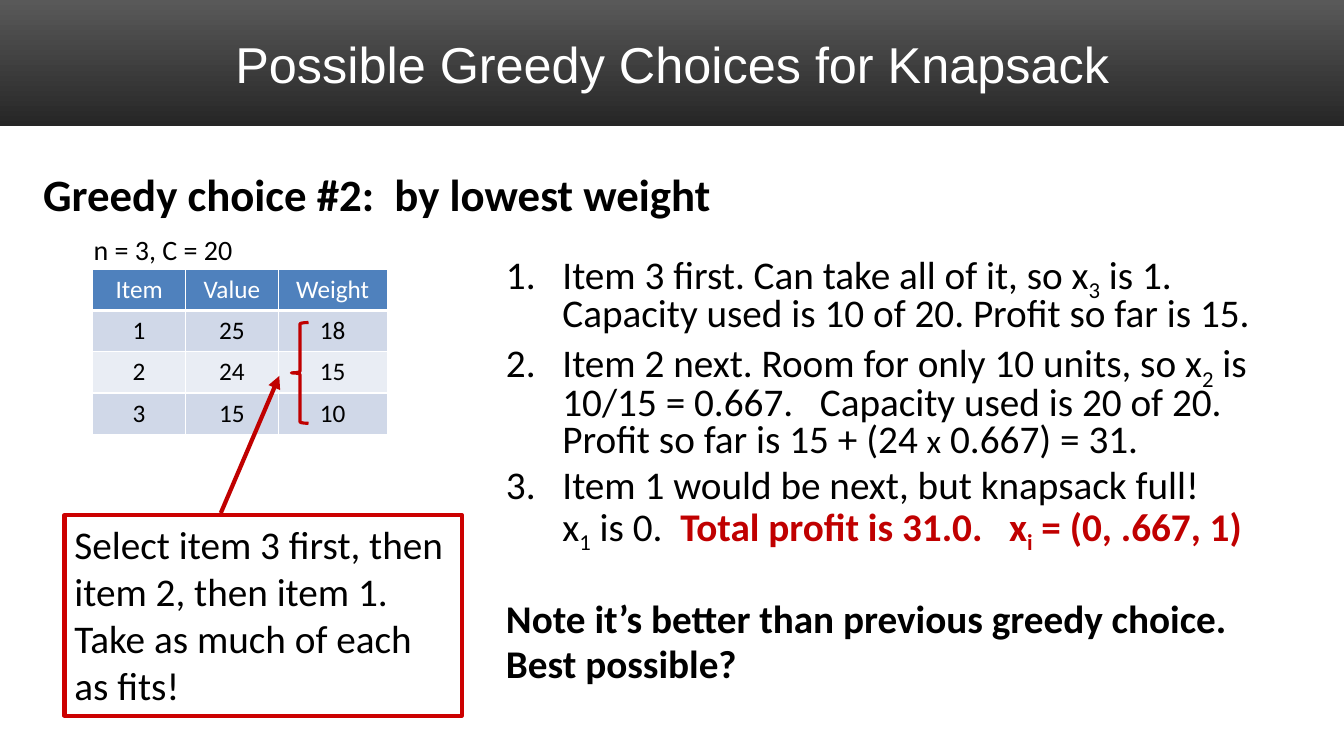
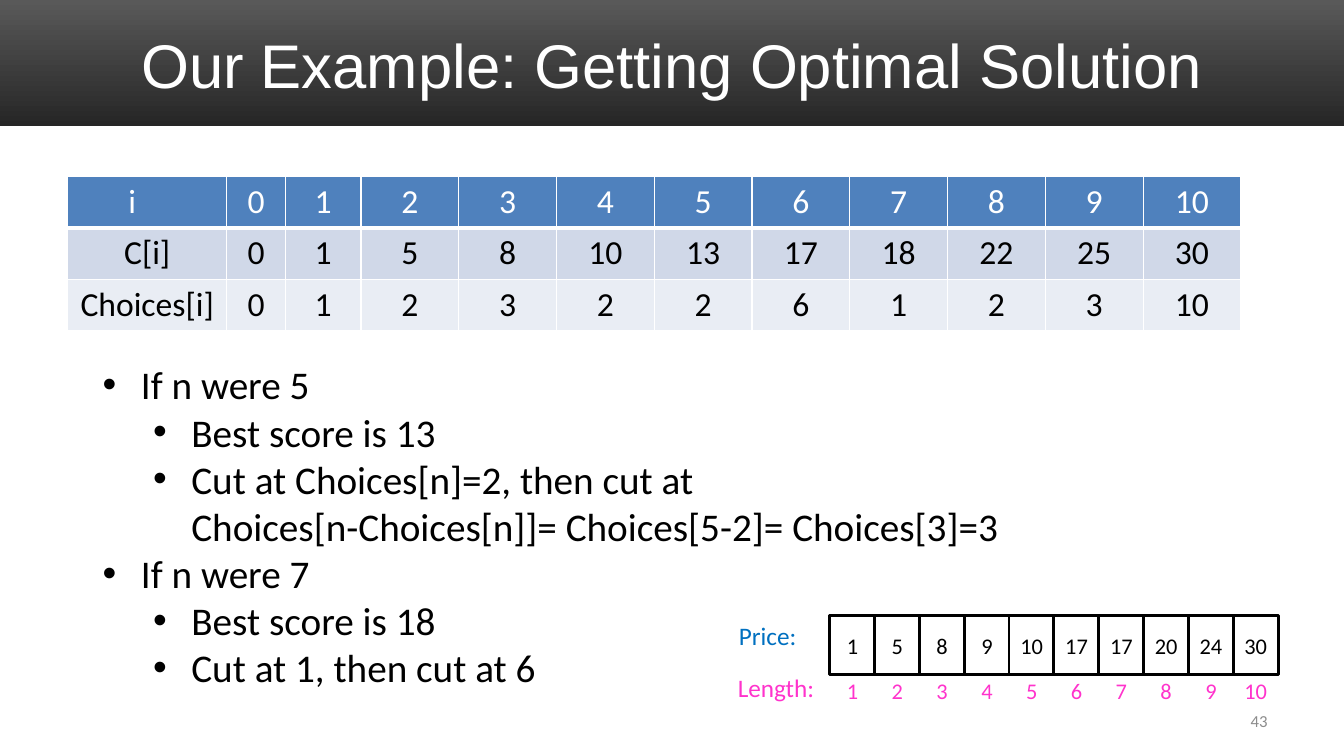
from lxml.etree import SubElement
from pptx import Presentation
from pptx.dml.color import RGBColor
from pptx.enum.shapes import MSO_CONNECTOR, MSO_SHAPE
from pptx.enum.text import MSO_ANCHOR, PP_ALIGN
from pptx.oxml.ns import qn
from pptx.util import Inches, Pt

BLACK = RGBColor(0x00, 0x00, 0x00)
WHITE = RGBColor(0xFF, 0xFF, 0xFF)
BAND_TOP = RGBColor(0x59, 0x59, 0x59)
BAND_BOTTOM = RGBColor(0x26, 0x26, 0x26)
HEADER_BLUE = RGBColor(0x4F, 0x81, 0xBD)
ODD_ROW = RGBColor(0xD0, 0xD8, 0xE8)
EVEN_ROW = RGBColor(0xE9, 0xED, 0xF4)
CALLOUT_RED = RGBColor(0xCC, 0x00, 0x00)
DARK_RED = RGBColor(0xC0, 0x00, 0x00)
PRICE_BLUE = RGBColor(0x00, 0x70, 0xC0)
LENGTH_PINK = RGBColor(0xFF, 0x33, 0xCC)
PAGE_GREY = RGBColor(0x8C, 0x8C, 0x8C)
BODY_FONT = "Calibri"
TITLE_FONT = "Arial"
SLIDE_WIDTH = 13.33
SUBSCRIPT = "-25000"


def style_font(font, size, color=BLACK, bold=False, name=BODY_FONT):
    """Apply face, size, colour and weight to a font."""
    font.name, font.size, font.bold = name, Pt(size), bold
    font.color.rgb = color


def fill_frame(frame, text, size, color=BLACK, bold=False, name=BODY_FONT,
               align=PP_ALIGN.LEFT, anchor=MSO_ANCHOR.TOP):
    """Write text into a frame in a single style."""
    frame.text = text
    frame.word_wrap = True
    frame.vertical_anchor = anchor
    for paragraph in frame.paragraphs:
        paragraph.alignment = align
        for run in paragraph.runs:
            style_font(run.font, size, color, bold, name)


def add_text(shapes, box, text, size, **style):
    """Add a text box and return its frame."""
    frame = shapes.add_textbox(*map(Inches, box)).text_frame
    fill_frame(frame, text, size, **style)
    return frame


def add_outline(shapes, preset, box, line_color, line_width, fill=None):
    """Add a preset shape with a coloured outline."""
    outline = shapes.add_shape(preset, *map(Inches, box))
    outline.shadow.inherit = False
    outline.line.color.rgb = line_color
    outline.line.width = Pt(line_width)
    if fill is None:
        outline.fill.background()
    else:
        outline.fill.solid()
        outline.fill.fore_color.rgb = fill
    return outline


def add_arrow(shapes, tip, origin, color, width):
    """Add a line with an arrowhead at its tip."""
    arrow = shapes.add_connector(MSO_CONNECTOR.STRAIGHT, *map(Inches, tip + origin))
    arrow.line.color.rgb = color
    arrow.line.width = Pt(width)
    SubElement(arrow.line._get_or_add_ln(), qn("a:headEnd"), type="triangle")
    SubElement(arrow._element.spPr, qn("a:effectLst"))


def add_titled_slide(deck, title, size):
    """Add a blank slide with the gradient band and its title."""
    slide = deck.slides.add_slide(deck.slide_layouts[6])
    band = slide.shapes.add_shape(MSO_SHAPE.RECTANGLE, 0, 0,
                                  Inches(SLIDE_WIDTH), Inches(1.25))
    band.shadow.inherit = False
    band.line.fill.background()
    band.fill.gradient()
    band.fill.gradient_angle = 270
    for stop, color in zip(band.fill.gradient_stops, (BAND_TOP, BAND_BOTTOM)):
        stop.color.rgb = color
    add_text(slide.shapes, (0.67, 0.17, 12, 0.92), title, size, color=WHITE,
             name=TITLE_FONT, align=PP_ALIGN.CENTER, anchor=MSO_ANCHOR.MIDDLE)
    return slide.shapes


def add_cell_borders(cell, bottom):
    """Draw white borders around a cell."""
    properties = cell._tc.get_or_add_tcPr()
    for side, width in (("L", 1), ("R", 1), ("T", 1), ("B", bottom)):
        border = SubElement(properties, qn(f"a:ln{side}"), w=str(Pt(width)))
        SubElement(SubElement(border, qn("a:solidFill")), qn("a:srgbClr"),
                   val=str(WHITE))


def add_banded_table(shapes, left, top, widths, row_height, rows, size):
    """Add a centred table with a blue header and banded rows."""
    table = shapes.add_table(len(rows), len(widths), Inches(left), Inches(top),
                             Inches(sum(widths)),
                             Inches(row_height * len(rows))).table
    for column, width in zip(table.columns, widths):
        column.width = Inches(width)
    for index, values in enumerate(rows):
        table.rows[index].height = Inches(row_height)
        header = index == 0
        band = HEADER_BLUE if header else (EVEN_ROW, ODD_ROW)[index % 2]
        for cell, value in zip(table.rows[index].cells, values):
            fill_frame(cell.text_frame, value, size, align=PP_ALIGN.CENTER,
                       color=WHITE if header else BLACK)
            add_cell_borders(cell, 3 if header else 1)
            cell.fill.solid()
            cell.fill.fore_color.rgb = band
    return table


def set_marker(paragraph, margin, hanging, tag, **attributes):
    """Give a paragraph a hanging bullet or number."""
    properties = paragraph._p.get_or_add_pPr()
    properties.set("marL", str(Inches(margin)))
    properties.set("indent", str(Inches(-hanging)))
    SubElement(properties, qn("a:buFont"), typeface=TITLE_FONT)
    SubElement(properties, qn(tag), **attributes)


def add_run(paragraph, text, size=28, color=BLACK, bold=False, subscript=False):
    """Append a styled run, with line breaks at newlines."""
    for index, line in enumerate(text.split("\n")):
        if index:
            paragraph.add_line_break()
        run = paragraph.add_run()
        run.text = line
        style_font(run.font, size, color, bold)
        if subscript:
            run.font._element.set("baseline", SUBSCRIPT)


def add_steps(shapes, box, steps, notes):
    """Add numbered steps followed by bold notes."""
    frame = shapes.add_textbox(*map(Inches, box)).text_frame
    frame.word_wrap = True
    for index, runs in enumerate(steps + notes):
        paragraph = frame.add_paragraph() if index else frame.paragraphs[0]
        paragraph.line_spacing = 0.8
        paragraph.space_before = Pt(38 if index == len(steps) else 5.6)
        if index < len(steps):
            set_marker(paragraph, 0.56, 0.56, "a:buAutoNum", type="arabicPeriod")
        for text, style in runs:
            add_run(paragraph, text, **style)


def add_bullets(shapes, box, items):
    """Add a two-level bulleted list."""
    frame = add_text(shapes, box, "\n".join(text for _, text in items), 28)
    for paragraph, (level, _) in zip(frame.paragraphs, items):
        paragraph.level = level
        set_marker(paragraph, 0.38 + 0.5 * level, 0.38, "a:buChar", char="•")


def add_price_strip(shapes, prices):
    """Add the row of price boxes with their lengths below."""
    strip = shapes.add_group_shape().shapes
    pitch = 4 / 9
    for index, price in enumerate(prices):
        left = 8.23 + index * pitch
        price_box = add_outline(strip, MSO_SHAPE.RECTANGLE, (left, 6.11, 0.45, 0.58),
                                BLACK, 2, WHITE)
        fill_frame(price_box.text_frame, str(price), 16, align=PP_ALIGN.CENTER,
                   anchor=MSO_ANCHOR.MIDDLE)
        length = add_text(strip, (left, 6.67, 0.45, 0.37), str(index + 1), 16,
                          color=LENGTH_PINK, align=PP_ALIGN.CENTER)
        for frame in (price_box.text_frame, length):
            frame.margin_left = frame.margin_right = 0
    add_text(strip, (7.22, 6.62, 1, 0.4), "Length:", 18, color=LENGTH_PINK)
    add_text(strip, (7.23, 6.11, 0.8, 0.4), "Price:", 18, color=PRICE_BLUE)


def build_knapsack_slide(deck):
    """Build the slide on the lowest-weight greedy choice."""
    shapes = add_titled_slide(deck, "Possible Greedy Choices for Knapsack", 36)
    heading = add_text(shapes, (0.33, 1.67, 10.83, 0.7),
                       "Greedy choice #2:  by lowest weight", 32, bold=True)
    heading.paragraphs[0].line_spacing = 0.9
    heading.paragraphs[0].space_before = Pt(6.4)
    items = [("Item", "Value", "Weight"), ("1", "25", "18"),
             ("2", "24", "15"), ("3", "15", "10")]
    add_banded_table(shapes, 0.92, 2.67, (0.92, 0.92, 1.08), 0.41, items, 18)
    add_text(shapes, (0.83, 2.26, 1.7, 0.44), "n = 3, C = 20", 20)
    callout = add_outline(shapes, MSO_SHAPE.RECTANGLE, (0.64, 5.11, 3.94, 1.99),
                          CALLOUT_RED, 3)
    fill_frame(callout.text_frame, "Select item 3 first, then item 2, then item 1."
               "\vTake as much of each as fits!", 28)
    add_arrow(shapes, (2.77, 3.73), (2.19, 5.09), DARK_RED, 3)
    add_outline(shapes, MSO_SHAPE.LEFT_BRACE, (2.89, 3.2, 0.17, 1), DARK_RED, 2.25)

    plain, sub = {}, {"subscript": True}
    strong = {"color": DARK_RED, "bold": True}
    steps = [
        [("Item 3 first. Can take all of it, so x", plain), ("3", sub),
         (" is 1.\nCapacity used is 10 of 20. Profit so far is 15.", plain)],
        [("Item 2 next. Room for only 10 units, so x", plain), ("2", sub),
         (" is 10/15 = 0.667.   Capacity used is 20 of 20.\n"
          "Profit so far is 15 + (24 ", plain),
         ("x", {"size": 24}), (" 0.667) = 31.", plain)],
        [("Item 1 would be next, but knapsack full!\nx", plain), ("1", sub),
         (" is 0.  ", plain), ("Total profit is 31.0.   x", strong),
         ("i", strong | sub), (" = (0, .667, 1)", strong)],
    ]
    notes = [[("Note it’s better than previous greedy choice.", {"bold": True})],
             [("Best possible?", {"bold": True})]]
    add_steps(shapes, (4.92, 2.48, 7.78, 4.5), steps, notes)


def build_solution_slide(deck):
    """Build the slide on reading the optimal solution."""
    shapes = add_titled_slide(deck, "Our Example: Getting Optimal Solution", 44)
    scores = (0, 1, 5, 8, 10, 13, 17, 18, 22, 25, 30)
    choices = (0, 1, 2, 3, 2, 2, 6, 1, 2, 3, 10)
    rows = [[label, *map(str, values)] for label, values in
            (("i", range(11)), ("C[i]", scores), ("Choices[i]", choices))]
    widths = [1.58, 0.58, 0.75] + [0.97] * 9
    table = add_banded_table(shapes, 0.67, 1.75, widths, 0.51, rows, 24)
    table.cell(0, 0).margin_right = Inches(0.4)
    add_text(shapes, (9.56, 6.95, 3.11, 0.4), "43", 12, color=PAGE_GREY,
             align=PP_ALIGN.RIGHT, anchor=MSO_ANCHOR.MIDDLE)
    add_bullets(shapes, (0.92, 3.53, 9.92, 3.4), [
        (0, "If n were 5"),
        (1, "Best score is 13"),
        (1, "Cut at Choices[n]=2, then cut at\v"
            "Choices[n-Choices[n]]= Choices[5-2]= Choices[3]=3"),
        (0, "If n were 7"),
        (1, "Best score is 18"),
        (1, "Cut at 1, then cut at 6"),
    ])
    add_price_strip(shapes, (1, 5, 8, 9, 10, 17, 17, 20, 24, 30))


def main():
    """Build and save the deck."""
    deck = Presentation()
    deck.slide_width, deck.slide_height = Inches(SLIDE_WIDTH), Inches(7.5)
    build_knapsack_slide(deck)
    build_solution_slide(deck)
    deck.save("out.pptx")


main()
